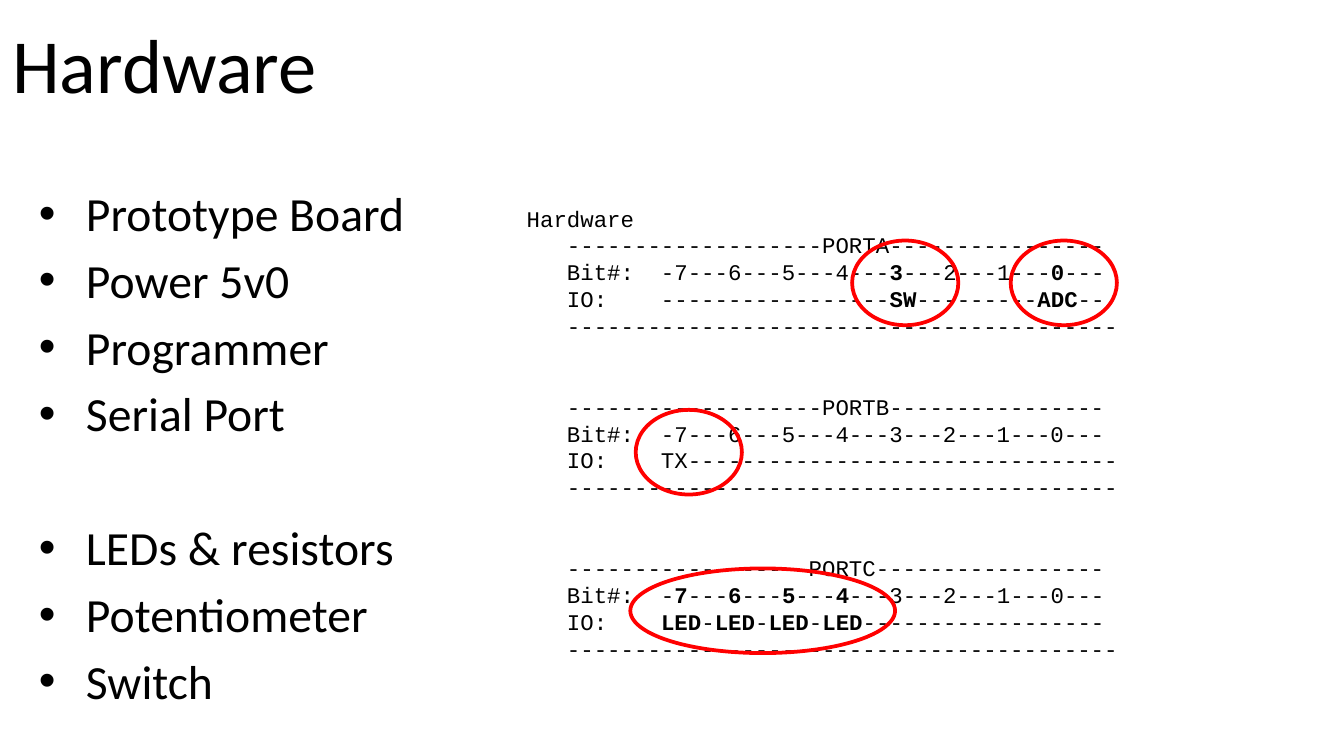
"""Build the Hardware slide: a parts list beside a port map with circled pins."""
from lxml import etree
from pptx import Presentation
from pptx.dml.color import RGBColor
from pptx.enum.shapes import MSO_SHAPE
from pptx.enum.text import MSO_ANCHOR, PP_ALIGN
from pptx.oxml.ns import qn
from pptx.util import Inches, Pt

OVAL = MSO_SHAPE.OVAL
MIDDLE, TOP = MSO_ANCHOR.MIDDLE, MSO_ANCHOR.TOP
LEFT = PP_ALIGN.LEFT
COLORS = {"text": "000000", "ring": "FF0000"}

prs = Presentation()
prs.slide_width = Inches(10)
prs.slide_height = prs.slide_width * 9 // 16
W, H = prs.slide_width, prs.slide_height
s = prs.slides.add_slide(prs.slide_layouts[5])


def style(r, size, name, bold=False):
    r.font.size, r.font.name, r.font.bold = Pt(size), name, bold
    r.font.color.rgb = RGBColor.from_string(COLORS["text"])


def add_box(x, y, w, h):
    tf = s.shapes.add_textbox(int(W * x), int(H * y), int(W * w), int(H * h)).text_frame
    tf.word_wrap = True
    tf.vertical_anchor = TOP
    return tf


sp = s.shapes.title
sp.left, sp.top, sp.width, sp.height = 0, 0, int(W * 0.9), H // 6
tf = sp.text_frame
tf.text = "Hardware"
tf.vertical_anchor = MIDDLE
tf.margin_left = Inches(0.09)
tf.paragraphs[0].alignment = LEFT
style(tf.paragraphs[0].runs[0], 41, "Calibri")

PARTS = [["Prototype Board", "Power 5v0", "Programmer", "Serial Port"],
         ["LEDs & resistors", "Potentiometer", "Switch"]]
tf = add_box(0.02, 0.235, 0.9, 0.66)
tf.margin_left = Inches(0.09)
tf.text = "\n".join(part for group in PARTS for part in group)
for i, p in enumerate(tf.paragraphs):
    pPr = p._p.get_or_add_pPr()
    pPr.set("marL", str(Inches(0.35)))
    pPr.set("indent", str(-Inches(0.35)))
    etree.SubElement(pPr, qn("a:buFont")).set("typeface", "Arial")
    etree.SubElement(pPr, qn("a:buChar")).set("char", "•")
    if i:
        p.space_before = Pt(41.2 if i == len(PARTS[0]) else 5.1)
    style(p.runs[0], 25.5, "Calibri")

RULE = "   " + "-" * 41
PORTS = [
    ["Hardware",
     "   -------------------PORTA----------------",
     "   Bit#:  -7---6---5---4---*3*---2---1---*0*---",
     "   IO:    -----------------*SW*---------*ADC*--", RULE],
    ["   -------------------PORTB----------------",
     "   Bit#:  -7---6---5---4---3---2---1---0---",
     "   IO:    TX--------------------------------", RULE],
    ["   ------------------PORTC-----------------",
     "   Bit#:  -*7*---*6*---*5*---*4*---3---2---1---0---",
     "   IO:    *LED*-*LED*-*LED*-*LED*------------------", RULE],
]
COL, ROW = Inches(0.1), Inches(0.2)
tf = add_box(0.382, 0.262, 0.591, 0.7)
for b, port in enumerate(PORTS):
    for n, line in enumerate(port):
        p = tf.add_paragraph() if b or n else tf.paragraphs[0]
        p.line_spacing = Pt(14.4)
        if b and n == 0:
            p.space_before = Pt(28.8)
        for k, piece in enumerate(line.split("*")):
            if piece:
                r = p.add_run()
                r.text = piece
                style(r, 12, "Courier New", k % 2 == 1)

X0, Y0 = Inches(3.92), Inches(1.52)
RINGS = [(36, 1.35, 7.9), (7.7, 13.55, 19.7), (24.2, 1.35, 7.9), (8.1, 7.65, 7.9)]
for col, row, cols in RINGS:
    sp = s.shapes.add_shape(OVAL, int(X0 + col * COL), int(Y0 + row * ROW),
                            int(cols * COL), int(3.15 * ROW))
    sp.shadow.inherit = False
    sp.fill.background()
    sp.line.color.rgb = RGBColor.from_string(COLORS["ring"])
    sp.line.width = Pt(2)

prs.save("out.pptx")
